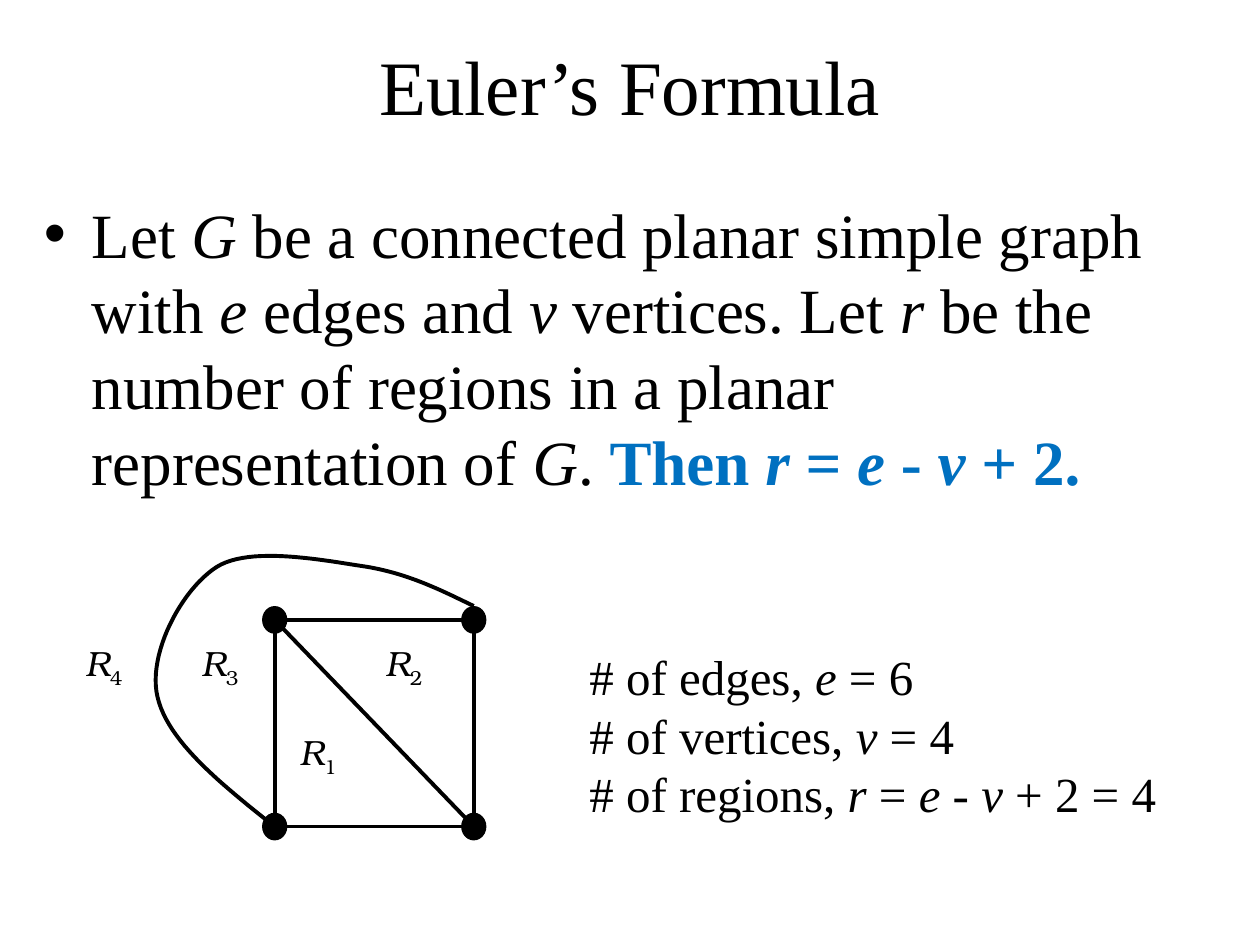
from typing import NamedTuple

from lxml import etree
from pptx import Presentation, util as u
from pptx.dml.color import RGBColor
from pptx.enum import shapes, text
from pptx.oxml import ns

COLORS = {"ink": "000000", "accent": "0070C0", "paper": "FFFFFF"}
SERIF = "Times New Roman"
LABEL_FONT = "TeX Gyre Bonum"


class Point(NamedTuple):
    x: float
    y: float


class Region(NamedTuple):
    number: str
    left: float
    top: float


TOP_LEFT, TOP_RIGHT = Point(2.18, 4.92), Point(3.76, 4.92)
BOTTOM_LEFT, BOTTOM_RIGHT = Point(2.18, 6.56), Point(3.76, 6.56)
VERTICES = [TOP_LEFT, TOP_RIGHT, BOTTOM_RIGHT, BOTTOM_LEFT]
VERTEX_SIZE = Point(0.19, 0.21)

OUTER_EDGE_START = Point(3.76, 4.81)
OUTER_EDGE_CURVES = [
    (Point(3.51, 4.69), Point(3.26, 4.56), Point(2.92, 4.5)),
    (Point(2.58, 4.45), Point(1.99, 4.33), Point(1.72, 4.5)),
    (Point(1.44, 4.68), Point(1.17, 5.19), Point(1.25, 5.53)),
    (Point(1.33, 5.88), Point(1.75, 6.22), BOTTOM_LEFT),
]

REGIONS = [
    Region("4", 0.58, 5.04),
    Region("3", 1.5, 5.04),
    Region("2", 2.96, 5.04),
    Region("1", 2.28, 5.75),
]

COUNTS = [
    "# of edges, *e* = 6",
    "# of vertices, *v* = 4",
    "# of regions, *r* = *e* - *v* + 2 = 4",
]


def rgb(name: str) -> RGBColor:
    return RGBColor.from_string(COLORS[name])


def add_box(page, left: float, top: float, width: float, height: float, *,
            wrap: bool = True, anchor=text.MSO_ANCHOR.TOP):
    box = page.shapes.add_textbox(*map(u.Inches, (left, top, width, height)))
    box.text_frame.word_wrap = wrap
    box.text_frame.vertical_anchor = anchor
    return box.text_frame


def add_spans(para, marked: str, *, size: float, font: str = SERIF,
              color: str = "ink", bold: bool = False, subscript: bool = False) -> None:
    """Append runs to para; asterisks enclose italic words."""
    for index, words in enumerate(marked.split("*")):
        if not words:
            continue
        span = para.add_run()
        span.text = words
        span.font.name = font
        span.font.size = u.Pt(size)
        span.font.color.rgb = rgb(color)
        span.font.bold = bold
        span.font.italic = index % 2 == 1
        if subscript:
            span.font._element.set("baseline", "-25000")


def add_bullet(para, indent: float) -> None:
    properties = para._p.get_or_add_pPr()
    properties.set("marL", str(u.Inches(indent)))
    properties.set("indent", str(-u.Inches(indent)))
    etree.SubElement(properties, ns.qn("a:buFont"), typeface="Arial")
    etree.SubElement(properties, ns.qn("a:buChar"), char="•")


def set_line(shape, width: float) -> None:
    shape.line.color.rgb = rgb("ink")
    shape.line.width = u.Pt(width)


def add_edge(page, start: Point, end: Point) -> None:
    edge = page.shapes.add_connector(
        shapes.MSO_CONNECTOR.STRAIGHT, *map(u.Inches, (*start, *end)))
    set_line(edge, 2.25)
    etree.SubElement(edge._element.spPr, ns.qn("a:effectLst"))


def add_square(page, corner: Point, opposite: Point) -> None:
    square = page.shapes.add_shape(
        shapes.MSO_SHAPE.RECTANGLE, *map(u.Inches, corner),
        u.Inches(opposite.x - corner.x), u.Inches(opposite.y - corner.y))
    square.fill.background()
    square.shadow.inherit = False
    set_line(square, 2.25)


def add_vertex(page, center: Point) -> None:
    vertex = page.shapes.add_shape(
        shapes.MSO_SHAPE.OVAL,
        u.Inches(center.x - VERTEX_SIZE.x / 2), u.Inches(center.y - VERTEX_SIZE.y / 2),
        *map(u.Inches, VERTEX_SIZE))
    vertex.fill.solid()
    vertex.fill.fore_color.rgb = rgb("ink")
    vertex.shadow.inherit = False
    set_line(vertex, 0.75)


def bezier(points: tuple[Point, ...], t: float) -> Point:
    weights = ((1 - t) ** 3, 3 * t * (1 - t) ** 2, 3 * t ** 2 * (1 - t), t ** 3)
    return Point(sum(w * p.x for w, p in zip(weights, points)),
                 sum(w * p.y for w, p in zip(weights, points)))


def to_lengths(point: Point) -> tuple[u.Length, u.Length]:
    return u.Inches(point.x), u.Inches(point.y)


def add_outer_edge(page, steps: int = 24) -> None:
    """Draw the curved edge around the square as short segments."""
    start = OUTER_EDGE_START
    builder = page.shapes.build_freeform(*to_lengths(start))
    for curve in OUTER_EDGE_CURVES:
        points = (start, *curve)
        builder.add_line_segments(
            [to_lengths(bezier(points, step / steps)) for step in range(1, steps + 1)],
            close=False)
        start = curve[-1]
    edge = builder.convert_to_shape()
    edge.fill.background()
    edge.shadow.inherit = False
    set_line(edge, 2.25)


def add_region_label(page, region: Region) -> None:
    frame = add_box(page, region.left, region.top, 0.5, 0.4, wrap=False)
    para = frame.paragraphs[0]
    add_spans(para, "*R*", size=20, font=LABEL_FONT)
    add_spans(para, region.number, size=20, font=LABEL_FONT, subscript=True)


def main() -> None:
    deck = Presentation()
    deck.slide_width, deck.slide_height = u.Inches(10), u.Inches(7.5)
    page = deck.slides.add_slide(deck.slide_layouts[6])
    page.background.fill.solid()
    page.background.fill.fore_color.rgb = rgb("paper")

    title = add_box(page, 0.5, 0.17, 9, 1, anchor=text.MSO_ANCHOR.MIDDLE).paragraphs[0]
    title.alignment = text.PP_ALIGN.CENTER
    add_spans(title, "Euler’s Formula", size=44)

    theorem = add_box(page, 0.25, 1.5, 9.33, 3.08).paragraphs[0]
    add_bullet(theorem, 0.38)
    add_spans(theorem, "Let *G* be a connected planar simple graph with *e* edges and "
              "*v* vertices. Let *r* be the number of regions in a planar "
              "representation of *G*. ", size=36)
    add_spans(theorem, "Then *r* = *e* - *v* + 2.", size=36, color="accent", bold=True)

    counts = add_box(page, 4.58, 5.08, 5.08, 1.5)
    for index, count in enumerate(COUNTS):
        para = counts.add_paragraph() if index else counts.paragraphs[0]
        add_spans(para, count, size=28)

    add_square(page, TOP_LEFT, BOTTOM_RIGHT)
    add_edge(page, TOP_LEFT, BOTTOM_RIGHT)
    for vertex in VERTICES:
        add_vertex(page, vertex)
    add_outer_edge(page)
    for region in REGIONS:
        add_region_label(page, region)

    deck.save("out.pptx")


if __name__ == "__main__":
    main()
